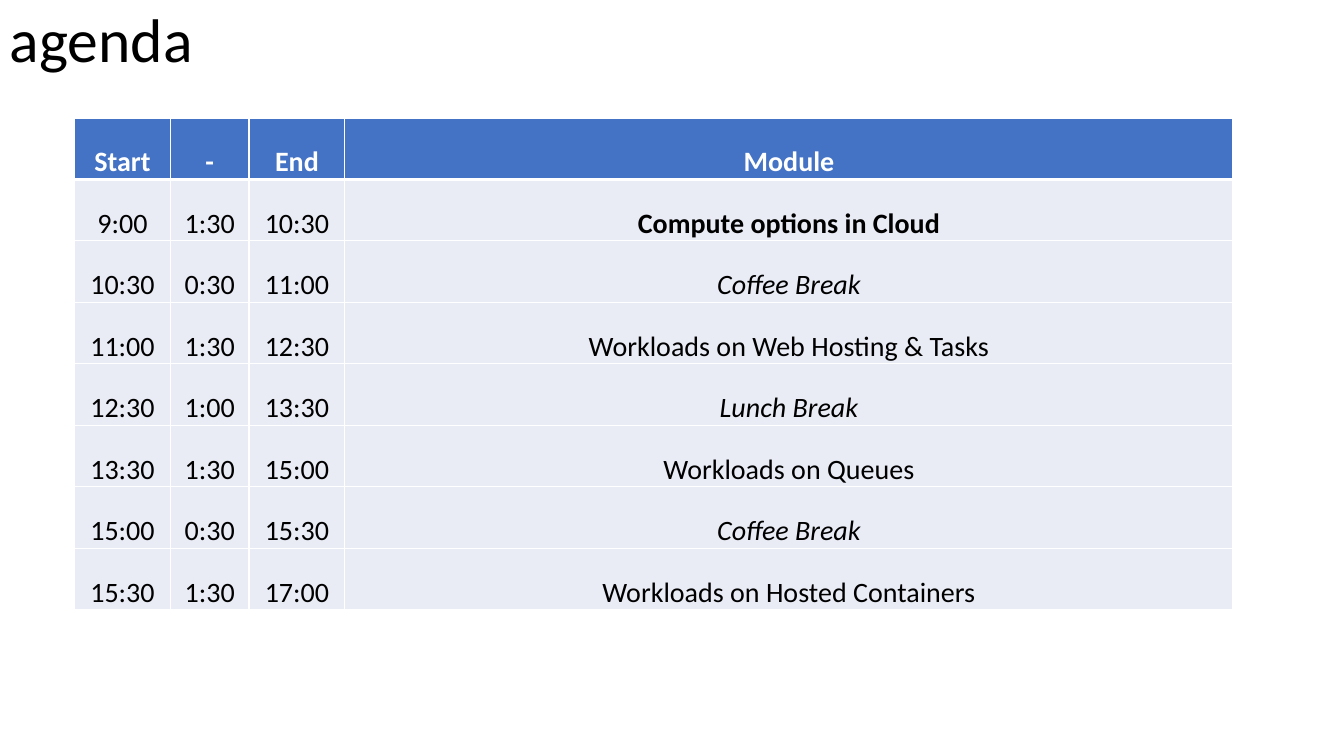
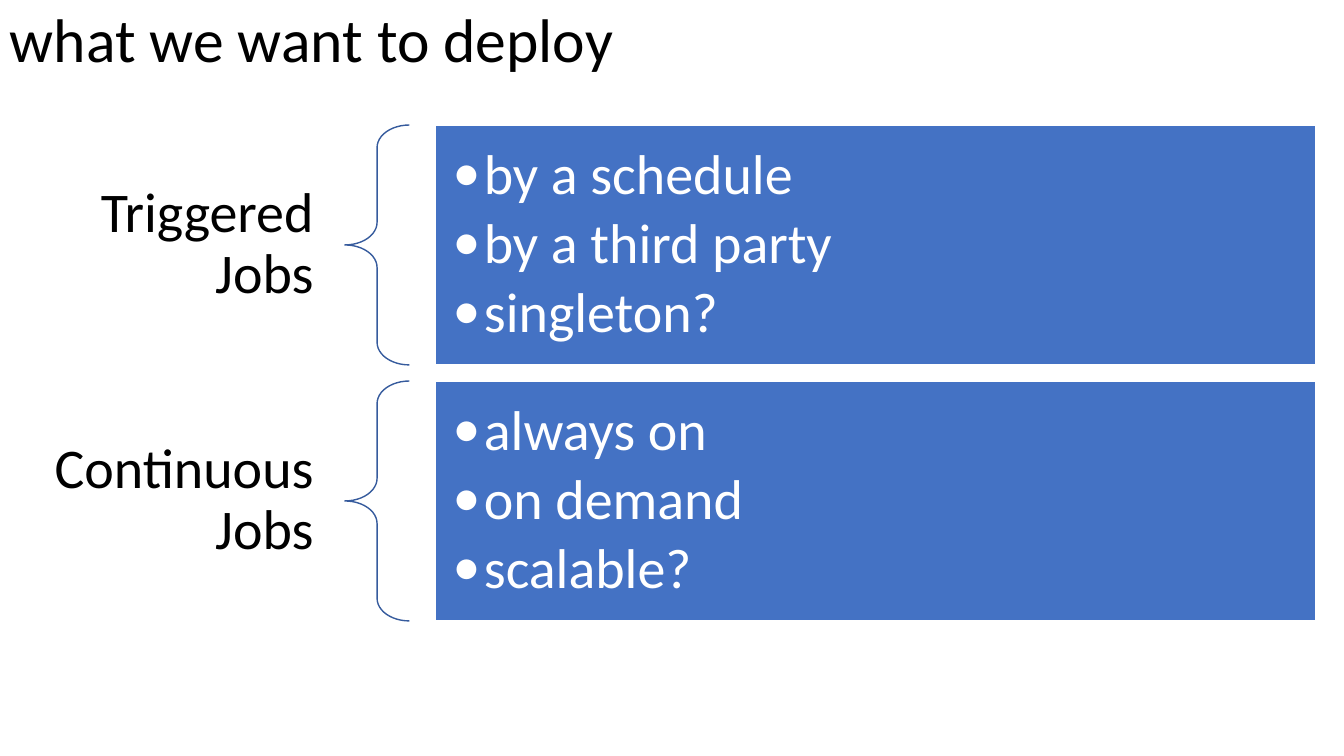
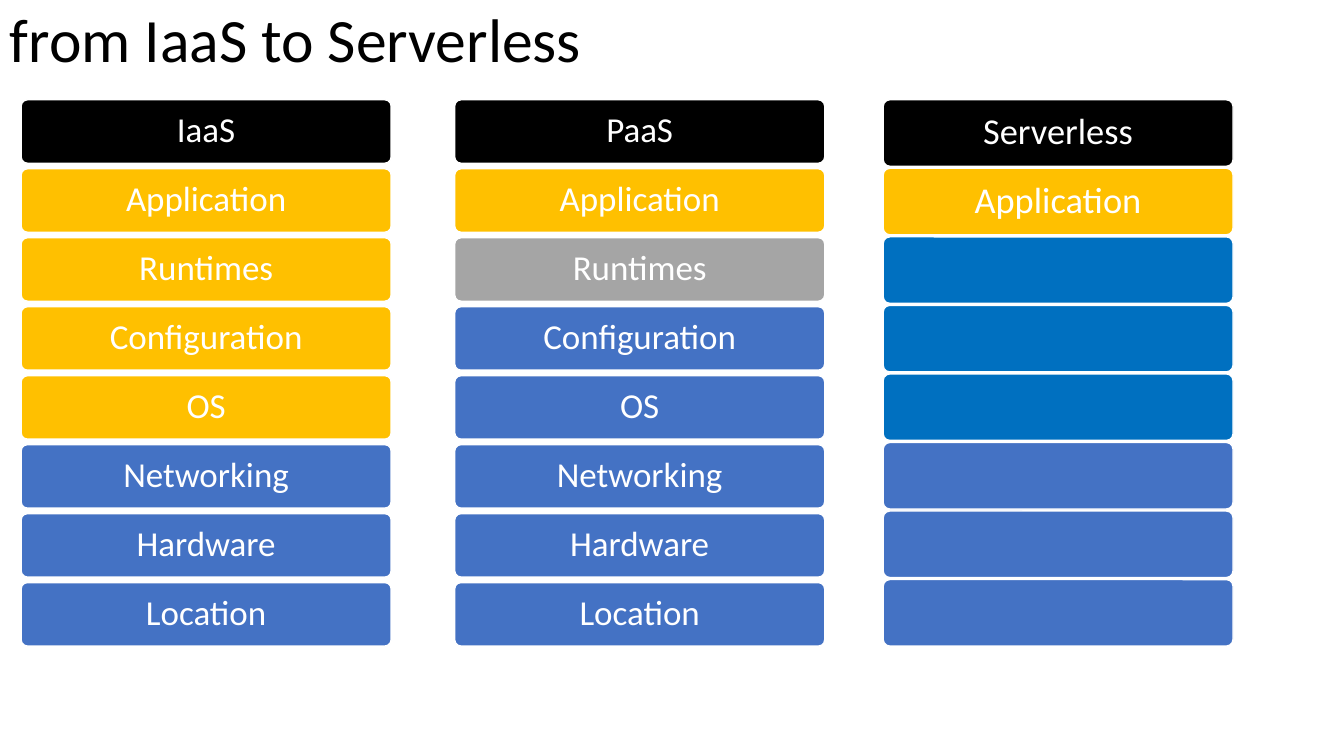
from pptx import Presentation
from pptx.dml.color import RGBColor
from pptx.enum.shapes import MSO_SHAPE as SHAPE
from pptx.enum.text import MSO_ANCHOR as ANCHOR, PP_ALIGN as ALIGN
from pptx.oxml.ns import qn
from pptx.util import Inches, Pt
from lxml.etree import SubElement

FONT = "Calibri"
BLACK, WHITE, BLUE, PALE = "000000", "FFFFFF", "4472C4", "E9EBF5"
GOLD, GRAY, DEEP_BLUE, EDGE = "FFC000", "A5A5A5", "0070C0", "365B9D"


def rgb(color):
    """Turn a hex string into a colour."""
    return RGBColor.from_string(color)


def write(tf, lines, size, color, align=ALIGN.LEFT, inset=(0.1, 0.05), after=0):
    """Fill a text frame with middle-anchored paragraphs."""
    tf.word_wrap = True
    tf.vertical_anchor = ANCHOR.MIDDLE
    tf.margin_left = tf.margin_right = Inches(inset[0])
    tf.margin_top = tf.margin_bottom = Inches(inset[1])
    tf.text = "\n".join(lines)
    for p in tf.paragraphs:
        p.alignment = align
        p.line_spacing = 0.9
        p.space_after = Pt(after)
        style(p, size, color)


def style(p, size, color, bold=False, italic=False):
    """Format every run of a paragraph."""
    for r in p.runs:
        r.font.name, r.font.size = FONT, Pt(size)
        r.font.bold, r.font.italic = bold, italic
        r.font.color.rgb = rgb(color)


def add_text(slide, box, *args, **kwargs):
    """Add a text box in the given box."""
    tb = slide.shapes.add_textbox(*map(Inches, box))
    write(tb.text_frame, *args, **kwargs)


def add_shape(slide, kind, box, fill, line=WHITE):
    """Add a preset shape with a thin line and no shadow."""
    sp = slide.shapes.add_shape(kind, *map(Inches, box))
    sp.shadow.inherit = False
    if fill:
        sp.fill.solid()
        sp.fill.fore_color.rgb = rgb(fill)
    else:
        sp.fill.background()
    sp.line.color.rgb = rgb(line)
    sp.line.width = Pt(1)
    return sp


def add_slide(prs, title):
    """Add a blank slide with the shared title."""
    slide = prs.slides.add_slide(prs.slide_layouts[6])
    add_text(slide, (0, 0.02, 11.5, 0.8), [title], 44, BLACK)
    return slide


def add_bullets(tf):
    """Give each paragraph a hanging bullet."""
    for p in tf.paragraphs:
        pPr = p._p.get_or_add_pPr()
        pPr.set("marL", str(Inches(0.31)))
        pPr.set("indent", str(-Inches(0.31)))
        SubElement(pPr, qn("a:buFont"), typeface=FONT)
        SubElement(pPr, qn("a:buChar"), char="•")


def set_borders(cell, bottom):
    """Draw white cell borders with the given bottom width."""
    tcPr = cell._tc.get_or_add_tcPr()
    for side, width in (("L", 1), ("R", 1), ("T", 1), ("B", bottom)):
        ln = SubElement(tcPr, qn(f"a:ln{side}"), w=str(Pt(width)))
        fill = SubElement(ln, qn("a:solidFill"))
        SubElement(fill, qn("a:srgbClr"), val=WHITE)


def add_agenda(slide, box, widths, rows):
    """Add the timetable with a coloured header row."""
    frame = slide.shapes.add_table(len(rows), len(widths), *map(Inches, box))
    table = frame.table
    for column, width in zip(table.columns, widths):
        column.width = Inches(width)
    for i, row in enumerate(rows):
        table.rows[i].height = Inches(box[3] / len(rows))
        header = i == 0
        for j, text in enumerate(row):
            cell = table.cell(i, j)
            cell.margin_left = cell.margin_right = cell.margin_top = Inches(0.01)
            cell.margin_bottom = 0
            cell.vertical_anchor = ANCHOR.BOTTOM
            set_borders(cell, 3 if header else 1)
            cell.fill.solid()
            cell.fill.fore_color.rgb = rgb(BLUE if header else PALE)
            p = cell.text_frame.paragraphs[0]
            p.text = text
            p.alignment = ALIGN.CENTER
            style(p, 20, WHITE if header else BLACK,
                  bold=header or text.startswith("Compute"),
                  italic=text.endswith("Break"))


def add_job_group(slide, box, label, points):
    """Add a label, a brace and a panel of bullets."""
    left, top, width, height = box
    add_text(slide, (left, top + (height - 1.46) / 2, 3.21, 1.46), [label], 40,
             BLACK, ALIGN.RIGHT, (0.31, 0.11))
    brace = add_shape(slide, SHAPE.LEFT_BRACE,
                      (left + 3.21, top, 0.64, height), None, EDGE)
    brace.adjustments[0], brace.adjustments[1] = 0.35, 0.5
    panel = add_shape(slide, SHAPE.RECTANGLE,
                      (left + 4.11, top, width - 4.11, height), BLUE)
    write(panel.text_frame, points, 40, WHITE, inset=(0.17, 0.17), after=6)
    add_bullets(panel.text_frame)


def add_stack(slide, box, block_height, size, labels, colors):
    """Stack rounded blocks evenly from the top to the bottom of the box."""
    left, top, width, height = box
    pitch = (height - block_height) / (len(colors) - 1)
    for i, (label, color) in enumerate(zip(labels, colors)):
        block = add_shape(slide, SHAPE.ROUNDED_RECTANGLE,
                          (left, top + i * pitch, width, block_height), color)
        block.adjustments[0] = 0.1
        if label:
            write(block.text_frame, [label], size, WHITE, ALIGN.CENTER, (0.1, 0.1))


prs = Presentation()
prs.slide_width, prs.slide_height = Inches(13.33), Inches(7.5)

agenda = [
    ("Start", "-", "End", "Module"),
    ("9:00", "1:30", "10:30", "Compute options in Cloud"),
    ("10:30", "0:30", "11:00", "Coffee Break"),
    ("11:00", "1:30", "12:30", "Workloads on Web Hosting & Tasks"),
    ("12:30", "1:00", "13:30", "Lunch Break"),
    ("13:30", "1:30", "15:00", "Workloads on Queues"),
    ("15:00", "0:30", "15:30", "Coffee Break"),
    ("15:30", "1:30", "17:00", "Workloads on Hosted Containers"),
]
add_agenda(add_slide(prs, "agenda"), (0.74, 1.17, 11.49, 4.88),
           (0.95, 0.78, 0.95, 8.81), agenda)

jobs = [
    ("Triggered Jobs", ["by a schedule", "by a third party", "singleton?"]),
    ("Continuous Jobs", ["always on", "on demand", "scalable?"]),
]
slide = add_slide(prs, "what we want to deploy")
for i, (label, points) in enumerate(jobs):
    add_job_group(slide, (0.21, 1.24 + i * 2.54, 12.84, 2.38), label, points)

layers = ["Application", "Runtimes", "Configuration", "OS",
          "Networking", "Hardware", "Location"]
slide = add_slide(prs, "from IaaS to Serverless")
add_stack(slide, (0.21, 0.99, 3.67, 5.42), 0.63, 25, ["IaaS"] + layers,
          [BLACK] + [GOLD] * 4 + [BLUE] * 3)
add_stack(slide, (4.51, 0.99, 3.67, 5.42), 0.63, 25, ["PaaS"] + layers,
          [BLACK, GOLD, GRAY] + [BLUE] * 5)
add_stack(slide, (8.76, 0.99, 3.47, 5.42), 0.66, 26,
          ["Serverless", "Application"] + [""] * 6,
          [BLACK, GOLD] + [DEEP_BLUE] * 3 + [BLUE] * 3)

prs.save("out.pptx")
